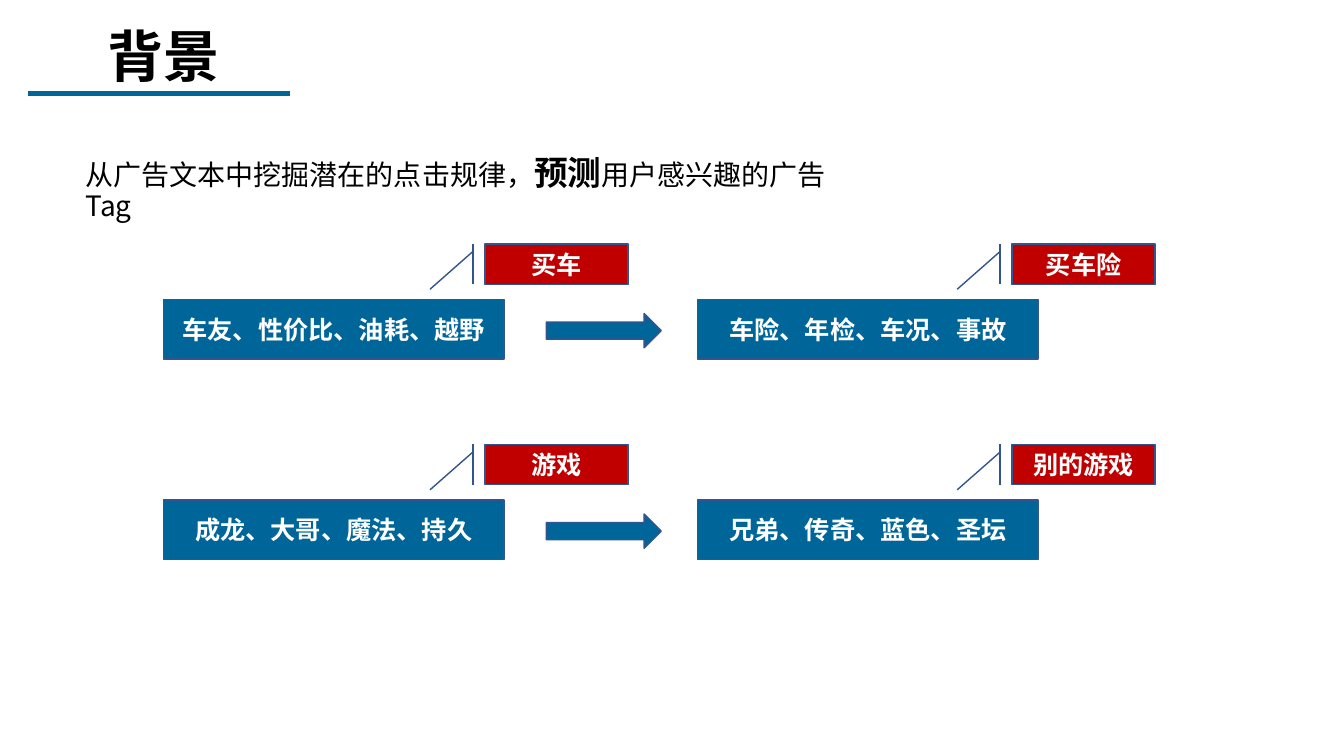
from dataclasses import dataclass

import pptx
import pptx.dml.color
import pptx.enum.shapes
import pptx.enum.text
import pptx.oxml
import pptx.oxml.ns
import pptx.util
from pptx.enum.shapes import MSO_SHAPE
from pptx.enum.text import MSO_ANCHOR, PP_ALIGN

Pt = pptx.util.Pt


@dataclass(frozen=True)
class Theme:
    font: str = "Noto Sans CJK SC"
    text: str = "000000"
    inverse: str = "FFFFFF"
    blue: str = "006699"
    red: str = "C00000"
    outline: str = "325491"
    title_size: int = 40
    emphasis_size: int = 24
    body_size: int = 20
    box_size: int = 18
    line_spacing: float = 0.9


@dataclass(frozen=True)
class Box:
    left: float
    top: float
    width: float
    height: float

    def lengths(self) -> tuple:
        return Pt(self.left), Pt(self.top), Pt(self.width), Pt(self.height)


@dataclass(frozen=True)
class Run:
    text: str
    size: int
    color: str
    bold: bool = False


@dataclass(frozen=True)
class Topic:
    label: str
    keywords: str


@dataclass(frozen=True)
class Column:
    keywords_left: float
    label_left: float


THEME = Theme()
TITLE_BOX = Box(69.84, 17.28, 95, 55.44)
SUMMARY_BOX = Box(54, 108, 579.6, 36)
COLUMNS = (Column(116.64, 346.32), Column(498.24, 722.88))
ROWS = (
    (Topic("买车", "车友、性价比、油耗、越野"), Topic("买车险", "车险、年检、车况、事故")),
    (Topic("游戏", "成龙、大哥、魔法、持久"), Topic("别的游戏", "兄弟、传奇、蓝色、圣坛")),
)
FIRST_ROW_TOP = 174.24
ROW_PITCH = 143.28
KEYWORDS_OFFSET = 39.6
ARROW_OFFSET = 49.68


def rgb(color: str) -> pptx.dml.color.RGBColor:
    return pptx.dml.color.RGBColor.from_string(color)


def apply_format(target, values: dict) -> None:
    for name, value in values.items():
        setattr(target, name, value)


def write_runs(paragraph, runs: tuple) -> None:
    for item in runs:
        run = paragraph.add_run()
        run.text = item.text
        apply_format(run.font, {"name": THEME.font, "size": Pt(item.size), "bold": item.bold})
        run.font.color.rgb = rgb(item.color)
        # East Asian text takes its typeface from a:ea
        east_asian = pptx.oxml.parse_xml(
            f'<a:ea {pptx.oxml.ns.nsdecls("a")} typeface="{THEME.font}"/>')
        run.font._element.find(pptx.oxml.ns.qn("a:latin")).addnext(east_asian)


def write_heading(shape, runs: tuple, frame_format: dict) -> None:
    apply_format(shape.text_frame, {"vertical_anchor": MSO_ANCHOR.TOP, **frame_format})
    paragraph = shape.text_frame.paragraphs[0]
    apply_format(paragraph, {"alignment": PP_ALIGN.LEFT, "line_spacing": THEME.line_spacing,
                             "space_before": Pt(0)})
    write_runs(paragraph, runs)


def add_block(slide, kind: MSO_SHAPE, box: Box, fill: str, text: str = "") -> None:
    shape = slide.shapes.add_shape(kind, *box.lengths())
    shape.shadow.inherit = False
    shape.fill.solid()
    shape.fill.fore_color.rgb = rgb(fill)
    shape.line.color.rgb = rgb(THEME.outline)
    shape.line.width = Pt(1)
    if text:
        apply_format(shape.text_frame, {"vertical_anchor": MSO_ANCHOR.MIDDLE, "word_wrap": True})
        paragraph = shape.text_frame.paragraphs[0]
        paragraph.alignment = PP_ALIGN.CENTER
        write_runs(paragraph, (Run(text, THEME.box_size, THEME.inverse, True),))


def add_rule(slide, left: float, right: float, top: float) -> None:
    rule = slide.shapes.add_connector(
        pptx.enum.shapes.MSO_CONNECTOR.STRAIGHT, Pt(left), Pt(top), Pt(right), Pt(top))
    rule.line.color.rgb = rgb(THEME.blue)
    rule.line.width = Pt(3.5)
    rule._element.spPr.append(
        pptx.oxml.parse_xml(f'<a:effectLst {pptx.oxml.ns.nsdecls("a")}/>'))


def add_row(slide, top: float, topics: tuple) -> None:
    for column, topic in zip(COLUMNS, topics):
        keywords_box = Box(column.keywords_left, top + KEYWORDS_OFFSET, 243.36, 42.48)
        add_block(slide, MSO_SHAPE.RECTANGLE, keywords_box, THEME.blue, topic.keywords)
        label_box = Box(column.label_left, top, 102.24, 28.8)
        add_block(slide, MSO_SHAPE.LINE_CALLOUT_1_BORDER_AND_ACCENT_BAR,
                  label_box, THEME.red, topic.label)
    arrow_box = Box(390.24, top + ARROW_OFFSET, 82.08, 24.48)
    add_block(slide, MSO_SHAPE.RIGHT_ARROW, arrow_box, THEME.blue)


def main() -> None:
    presentation = pptx.Presentation()
    apply_format(presentation, {"slide_width": Pt(960), "slide_height": Pt(540)})
    slide = presentation.slides.add_slide(presentation.slide_layouts[5])

    # Title and its underline
    add_rule(slide, 20.16, 207.36, 66.96)
    title = slide.shapes.title
    apply_format(title, dict(zip(("left", "top", "width", "height"), TITLE_BOX.lengths())))
    write_heading(title, (Run("背景", THEME.title_size, THEME.text, True),),
                  {"word_wrap": False})

    # Summary sentence; the right margin sets where it wraps
    summary = slide.shapes.add_textbox(*SUMMARY_BOX.lengths())
    write_heading(summary, (
        Run("从广告文本中挖掘潜在的点击规律，", THEME.body_size, THEME.text),
        Run("预测", THEME.emphasis_size, THEME.text, True),
        Run("用户感兴趣的广告Tag", THEME.body_size, THEME.text),
    ), {"word_wrap": True, "margin_right": Pt(22)})

    # Keyword rows, each leading from one interest to the next
    for index, topics in enumerate(ROWS):
        add_row(slide, FIRST_ROW_TOP + index * ROW_PITCH, topics)

    presentation.save("out.pptx")


if __name__ == "__main__":
    main()
